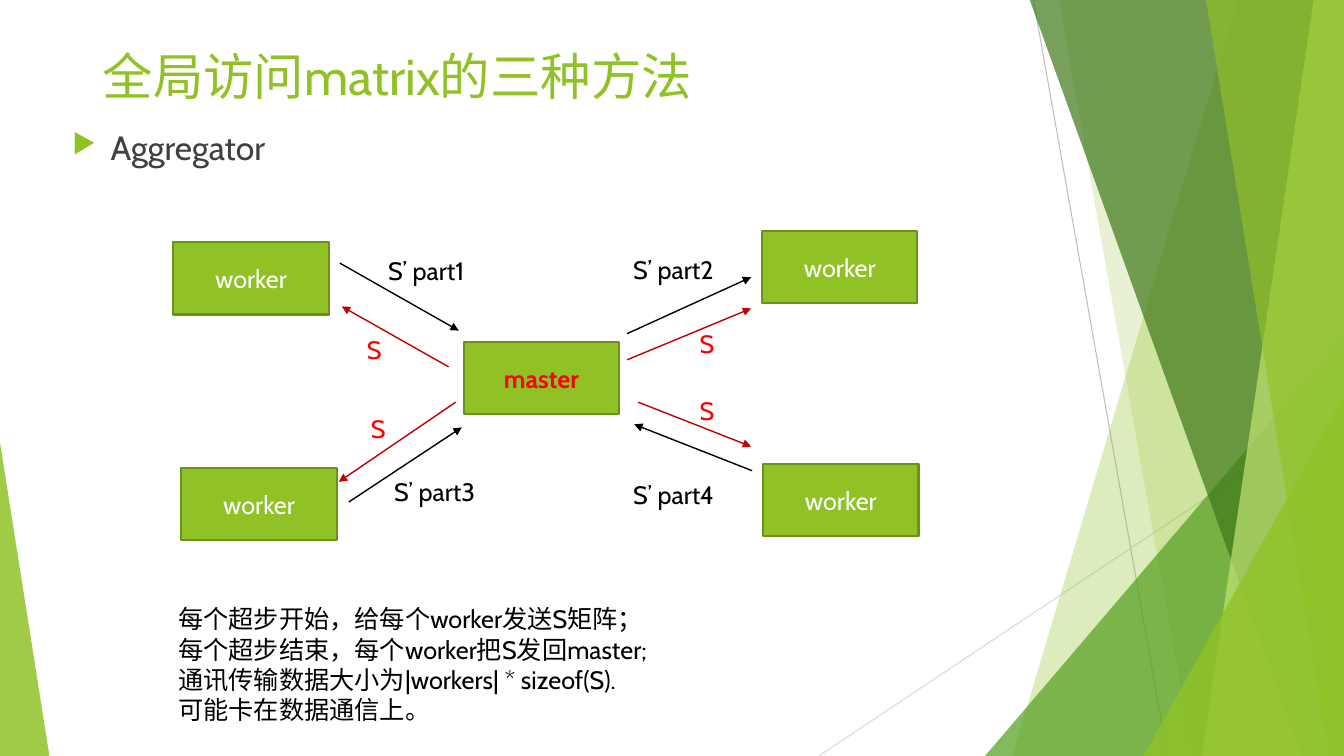
from lxml.etree import SubElement
from pptx import Presentation
from pptx.dml.color import RGBColor
from pptx.enum.shapes import MSO_CONNECTOR, MSO_SHAPE
from pptx.enum.text import MSO_ANCHOR, MSO_AUTO_SIZE, PP_ALIGN
from pptx.oxml.ns import qn
from pptx.util import Pt

PX = 9144  # EMU per px, 100 px to the inch
WIDTH, HEIGHT = 1333, 750
FONT = "Cabin"

GREEN = RGBColor(0x90, 0xC2, 0x26)
GREEN_EDGE = RGBColor(0x6B, 0x90, 0x1C)
MID_GREEN = RGBColor(0x54, 0xA0, 0x21)
DARK_GREEN = RGBColor(0x3F, 0x78, 0x19)
PALE_GREEN = RGBColor(0xC0, 0xE4, 0x74)
GRAY = RGBColor(0xBF, 0xBF, 0xBF)
LIGHT_GRAY = RGBColor(0xD9, 0xD9, 0xD9)
TEXT_GRAY = RGBColor(0x40, 0x40, 0x40)
BLACK = RGBColor(0x00, 0x00, 0x00)
WHITE = RGBColor(0xFF, 0xFF, 0xFF)
RED = RGBColor(0xFF, 0x00, 0x00)
DARK_RED = RGBColor(0xC0, 0x00, 0x00)


def scaled(*lengths):
    return [length * PX for length in lengths]


def add_run(paragraph, text, size, color, bold=False):
    run = paragraph.add_run()
    run.text = text
    run.font.name = FONT
    run.font.size = Pt(size)
    run.font.bold = bold
    run.font.color.rgb = color


def add_text(slide, box, lines, size, color):
    shape = slide.shapes.add_textbox(*scaled(*box))
    frame = shape.text_frame
    frame.word_wrap = True
    frame.auto_size = MSO_AUTO_SIZE.NONE
    for index, line in enumerate(lines):
        paragraph = frame.add_paragraph() if index else frame.paragraphs[0]
        add_run(paragraph, line, size, color)
    return shape


def add_bullet(paragraph):
    properties = paragraph._p.get_or_add_pPr()
    properties.set("marL", str(38 * PX))
    properties.set("indent", str(-38 * PX))
    color = SubElement(properties, qn("a:buClr"))
    SubElement(color, qn("a:srgbClr"), val=str(GREEN))
    SubElement(properties, qn("a:buSzPct"), val="80000")
    SubElement(properties, qn("a:buChar"), char="▶")


def add_line(slide, start, end, color, width, arrow=False):
    line = slide.shapes.add_connector(MSO_CONNECTOR.STRAIGHT, *scaled(*start, *end))
    line.line.color.rgb = color
    line.line.width = Pt(width)
    if arrow:
        SubElement(line.line._get_or_add_ln(), qn("a:tailEnd"), type="triangle")
    SubElement(line._element.spPr, qn("a:effectLst"))


def paint_glass(shape, color, opacity):
    shape.shadow.inherit = False
    shape.line.fill.background()
    shape.fill.solid()
    shape.fill.fore_color.rgb = color
    color_element = shape._element.spPr.find(qn("a:solidFill"))[0]
    SubElement(color_element, qn("a:alpha"), val=str(opacity * 1000))


def add_band(slide, top_left, bottom_left, color, opacity):
    """A band that runs from a slanted left edge to the slide's right edge."""
    builder = slide.shapes.build_freeform(top_left, -1, scale=PX)
    corners = [(WIDTH, -1), (WIDTH, HEIGHT), (bottom_left, HEIGHT)]
    builder.add_line_segments(corners, close=True)
    paint_glass(builder.convert_to_shape(), color, opacity)


def add_triangle(slide, left, top, width, apex, color, opacity):
    """A triangle that stands on the slide's bottom edge."""
    box = scaled(left, top, width, HEIGHT - top)
    shape = slide.shapes.add_shape(MSO_SHAPE.ISOSCELES_TRIANGLE, *box)
    shape.adjustments[0] = apex
    paint_glass(shape, color, opacity)


def add_node(slide, left, top, name, color=WHITE, bold=False):
    shape = slide.shapes.add_shape(MSO_SHAPE.RECTANGLE, *scaled(left, top, 154, 72))
    shape.shadow.inherit = False
    shape.fill.solid()
    shape.fill.fore_color.rgb = GREEN
    shape.line.color.rgb = GREEN_EDGE
    shape.line.width = Pt(1.5)
    shape.text_frame.vertical_anchor = MSO_ANCHOR.MIDDLE
    paragraph = shape.text_frame.paragraphs[0]
    paragraph.alignment = PP_ALIGN.CENTER
    add_run(paragraph, name, 18, color, bold)


def add_backdrop(slide):
    add_line(slide, (1025, 0), (1158, HEIGHT), GRAY, 0.75)
    add_line(slide, (WIDTH, 403), (812, HEIGHT), LIGHT_GRAY, 0.75)
    add_band(slide, 1228, 1004, GREEN, 30)
    add_band(slide, 1050, 1183, GREEN, 20)
    add_triangle(slide, 977, 333, 356, 1, MID_GREEN, 72)
    add_band(slide, 1021, 1291, DARK_GREEN, 70)
    add_band(slide, 1303, 1192, PALE_GREEN, 70)
    add_band(slide, 1196, 1318, GREEN, 65)
    add_triangle(slide, 1134, 393, 199, 1, GREEN, 80)
    add_triangle(slide, 0, 439, 49, 0, GREEN, 85)


def add_diagram(slide):
    # Master and workers
    for left, top in [(172, 240), (756, 229), (757, 460), (180, 464)]:
        add_node(slide, left, top, "worker")
    add_node(slide, 460, 339, "master", RED, bold=True)

    # S goes out to the workers, the parts come back
    sent = [
        ((445, 364), (339, 304)),
        ((452, 399), (336, 478)),
        ((633, 399), (745, 443)),
        ((622, 357), (745, 306)),
    ]
    returned = [
        ((337, 261), (455, 328)),
        ((622, 331), (745, 275)),
        ((346, 498), (458, 424)),
        ((746, 467), (629, 421)),
    ]
    for arrows, color in [(sent, DARK_RED), (returned, BLACK)]:
        for start, end in arrows:
            add_line(slide, start, end, color, 1, arrow=True)

    # Arrow labels
    for left, top in [(354, 327), (358, 405), (684, 321), (684, 387)]:
        add_text(slide, (left, top, 69, 40), ["S"], 18, RED)
    part_places = [(375, 248), (618, 247), (381, 468), (618, 471)]
    for number, (left, top) in enumerate(part_places, start=1):
        add_text(slide, (left, top, 128, 40), [f"S’ part{number}"], 18, BLACK)


def main():
    presentation = Presentation()
    presentation.slide_width, presentation.slide_height = scaled(WIDTH, HEIGHT)
    slide = presentation.slides.add_slide(presentation.slide_layouts[6])

    add_backdrop(slide)

    # Title and bullet
    add_text(slide, (92, 40, 1150, 109), ["全局访问matrix的三种方法"], 36, GREEN)
    body = add_text(slide, (62, 121, 1150, 508), ["Aggregator"], 24, TEXT_GRAY)
    bullet = body.text_frame.paragraphs[0]
    bullet.space_before = Pt(10)
    add_bullet(bullet)

    add_diagram(slide)

    # Explanation
    explanation = [
        "每个超步开始，给每个worker发送S矩阵；",
        "每个超步结束，每个worker把S发回master;",
        "通讯传输数据大小为|workers| * sizeof(S).",
        "可能卡在数据通信上。",
    ]
    add_text(slide, (167, 594, 846, 131), explanation, 18, BLACK)

    presentation.save("out.pptx")


if __name__ == "__main__":
    main()
